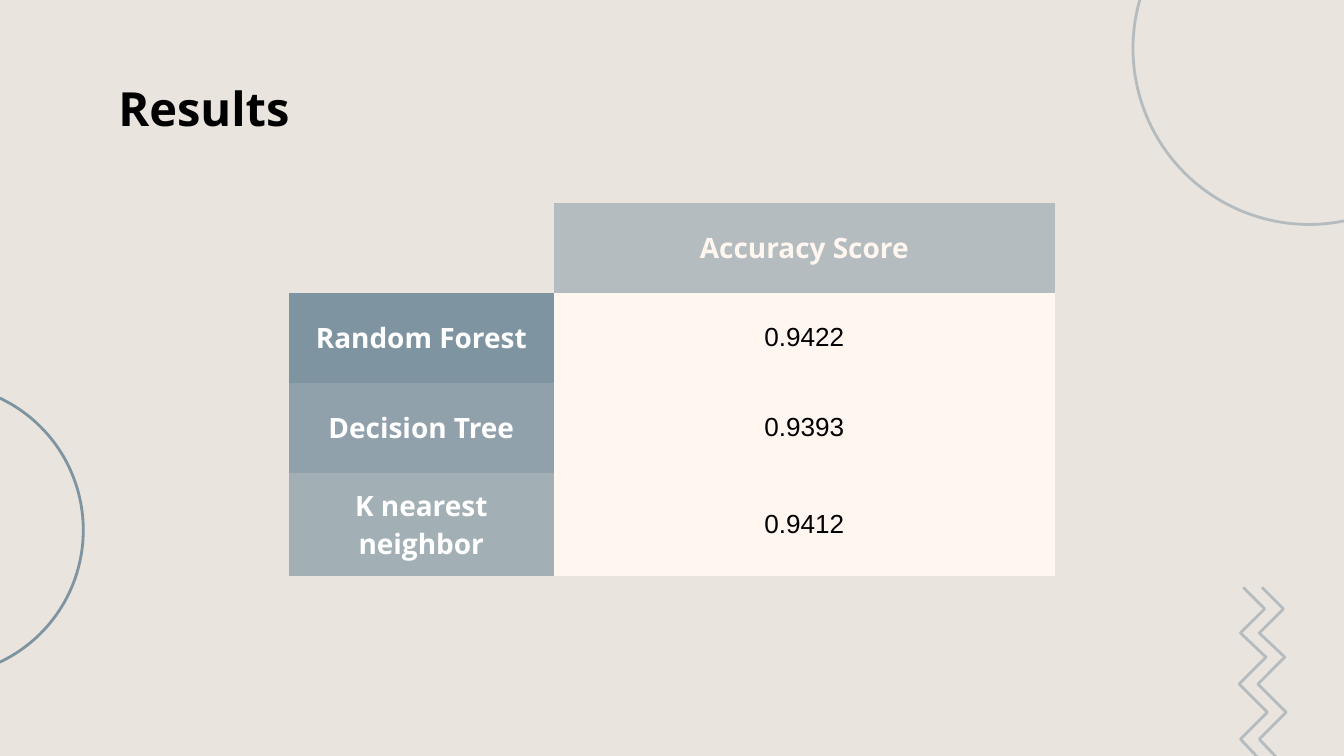
import pptx
import pptx.util
import pptx.dml.color
import pptx.enum.shapes
import pptx.enum.text
import pptx.oxml.ns
from dataclasses import dataclass

Inches = pptx.util.Inches
Pt = pptx.util.Pt
ALIGN = pptx.enum.text.PP_ALIGN
ANCHOR = pptx.enum.text.MSO_ANCHOR


@dataclass(frozen=True)
class Theme:
    background: str = "E9E4DD"
    black: str = "000000"
    white: str = "FFFFFF"
    cream: str = "FFF6F0"
    slate: str = "7F94A1"
    slate_mid: str = "91A1AB"
    slate_light: str = "A2AFB5"
    gray: str = "B4BCBF"
    heading_font: str = "Open Sans"
    body_font: str = "Arial"
    title_size: float = 25.2
    label_size: float = 15
    value_size: float = 14
    line_width: float = 1.5


def rgb(value):
    return pptx.dml.color.RGBColor.from_string(value)


def set_text(tf, text, *, font, size, color, bold=False, align=ALIGN.LEFT):
    p = tf.paragraphs[0]
    p.alignment = align
    r = p.add_run()
    r.text = text
    r.font.name = font
    r.font.size = Pt(size)
    r.font.bold = bold
    r.font.color.rgb = rgb(color)


class SlideBuilder:
    NO_STYLE = "{2D5ABB26-0587-4C30-8999-92F81FD0307C}"

    def __init__(self, slide, theme):
        self.slide = slide
        self.theme = theme
        fill = slide.background.fill
        fill.solid()
        fill.fore_color.rgb = rgb(theme.background)

    def title(self, text, left, top, width, height):
        t = self.theme
        sp = self.slide.shapes.title
        sp.left, sp.top = Inches(left), Inches(top)
        sp.width, sp.height = Inches(width), Inches(height)
        tf = sp.text_frame
        tf.margin_left = tf.margin_right = Inches(0.1)
        tf.margin_top = tf.margin_bottom = Inches(0.1)
        tf.vertical_anchor = ANCHOR.MIDDLE
        set_text(tf, text, font=t.heading_font, size=t.title_size,
                 color=t.black, bold=True)

    def cell(self, cell, text, fill, **text_format):
        cell.margin_left = cell.margin_right = Inches(0.1)
        cell.margin_top = cell.margin_bottom = Inches(0.1)
        cell.vertical_anchor = ANCHOR.MIDDLE
        cell.fill.solid()
        cell.fill.fore_color.rgb = rgb(fill)
        set_text(cell.text_frame, text, align=ALIGN.CENTER, **text_format)

    def score_table(self, header, rows, left, top, col_widths, row_height):
        t = self.theme
        count = len(rows) + 1
        frame = self.slide.shapes.add_table(
            count, 2, Inches(left), Inches(top),
            Inches(sum(col_widths)), Inches(row_height * count))
        table = frame.table
        table.first_row = table.horz_banding = False
        table._tbl.tblPr.find(pptx.oxml.ns.qn("a:tableStyleId")).text = self.NO_STYLE
        for column, width in zip(table.columns, col_widths):
            column.width = Inches(width)
        for row in table.rows:
            row.height = Inches(row_height)

        label = dict(font=t.heading_font, size=t.label_size, bold=True)
        value = dict(font=t.body_font, size=t.value_size, color=t.black)
        table.cell(0, 0).fill.background()
        self.cell(table.cell(0, 1), header, t.gray, color=t.cream, **label)
        for i, (name, score, fill) in enumerate(rows, start=1):
            self.cell(table.cell(i, 0), name, fill, color=t.white, **label)
            self.cell(table.cell(i, 1), score, t.cream, **value)

    def outline(self, sp, color):
        sp.shadow.inherit = False
        sp.fill.background()
        sp.line.color.rgb = rgb(color)
        sp.line.width = Pt(self.theme.line_width)

    def circle(self, left, top, width, height, color):
        sp = self.slide.shapes.add_shape(
            pptx.enum.shapes.MSO_SHAPE.OVAL, Inches(left), Inches(top),
            Inches(width), Inches(height))
        self.outline(sp, color)

    def zigzag(self, points, dx, color):
        pts = [(Inches(x + dx), Inches(y)) for x, y in points]
        builder = self.slide.shapes.build_freeform(*pts[0])
        builder.add_line_segments(pts[1:], close=False)
        self.outline(builder.convert_to_shape(), color)


def main():
    theme = Theme()
    prs = pptx.Presentation()
    # Widescreen, 16:9
    prs.slide_width = Inches(10)
    prs.slide_height = Inches(10) * 9 // 16
    s = SlideBuilder(prs.slides.add_slide(prs.slide_layouts[5]), theme)

    # Title
    s.title("Results", 0.78, 0.49, 8.44, 0.63)

    # Accuracy of each model
    s.score_table("Accuracy Score", [
        ("Random Forest", "0.9422", theme.slate),
        ("Decision Tree", "0.9393", theme.slate_mid),
        ("K nearest neighbor", "0.9412", theme.slate_light),
    ], left=2.15, top=1.51, col_widths=(1.97, 3.73), row_height=0.67)

    # Decorative circles
    s.circle(-1.54, 2.86, 2.16, 2.17, theme.slate)
    s.circle(8.43, -0.95, 2.62, 2.62, theme.gray)

    # Pair of zigzags
    points = [(9.25, 4.37), (9.41, 4.53), (9.23, 4.71), (9.42, 4.89),
              (9.22, 5.09), (9.43, 5.3), (9.23, 5.5), (9.41, 5.69)]
    for dx in (0, 0.14):
        s.zigzag(points, dx, theme.gray)

    prs.save("out.pptx")


if __name__ == "__main__":
    main()
